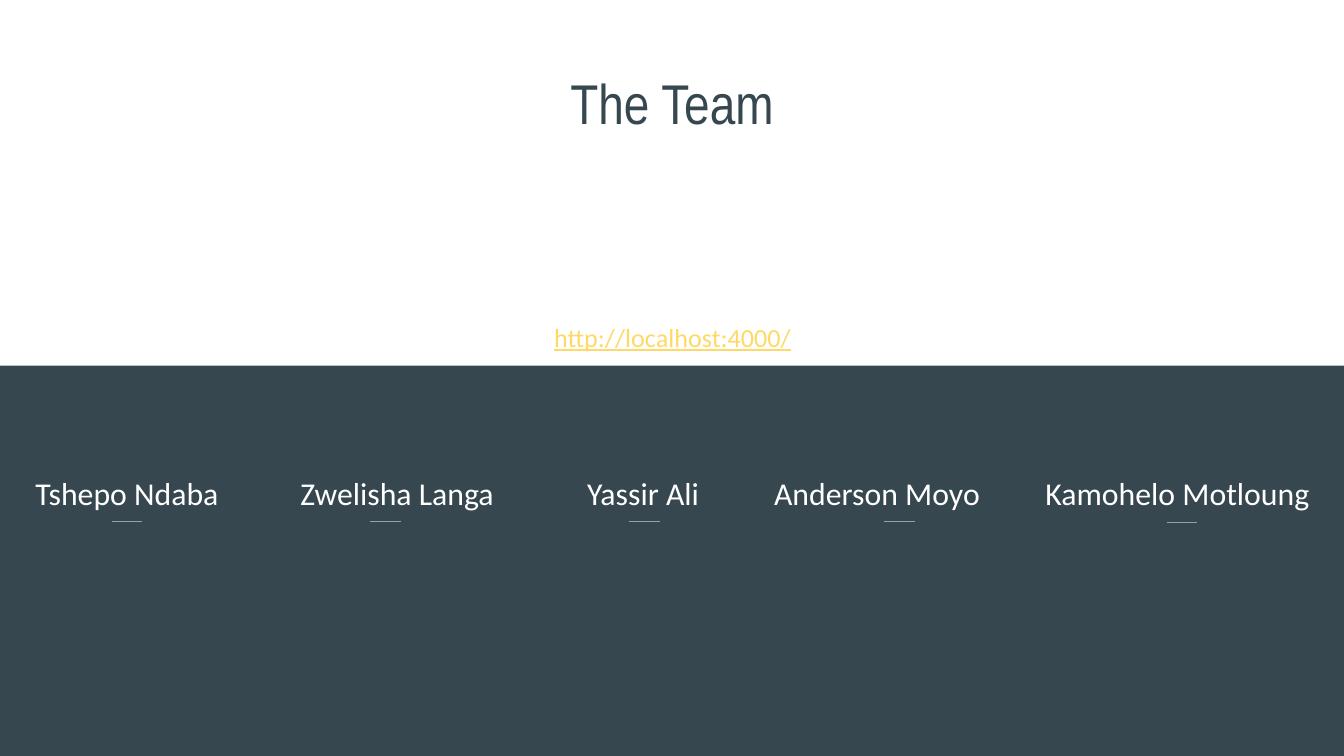
from dataclasses import dataclass

from lxml import etree
from pptx import Presentation
from pptx.dml.color import RGBColor
from pptx.enum.shapes import MSO_CONNECTOR, MSO_SHAPE
from pptx.enum.text import MSO_ANCHOR, PP_ALIGN
from pptx.oxml.ns import qn
from pptx.util import Inches, Pt

SLATE = RGBColor(0x37, 0x47, 0x4F)
WHITE = RGBColor(0xFF, 0xFF, 0xFF)
GREY = RGBColor(0x9E, 0x9E, 0x9E)
YELLOW = RGBColor(0xFF, 0xD9, 0x66)

RECTANGLE = MSO_SHAPE.RECTANGLE
STRAIGHT = MSO_CONNECTOR.STRAIGHT
LEFT, CENTER = PP_ALIGN.LEFT, PP_ALIGN.CENTER
TOP = MSO_ANCHOR.TOP

NAME_TOP = 3.38
NAME_HEIGHT = 0.48
DASH_LENGTH = 0.23


@dataclass(frozen=True)
class Member:
    name: str
    left: float
    dash_left: float
    width: float = 1.89
    dash_top: float = 3.88
    align: PP_ALIGN = CENTER


TEAM = (
    Member("Tshepo Ndaba", 0, 0.83),
    Member("Zwelisha Langa", 2.01, 2.75),
    Member("Yassir Ali", 3.84, 4.68),
    Member("Anderson Moyo", 5.58, 6.58),
    Member("Kamohelo Motloung", 7.68, 8.68, width=2.44, dash_top=3.89, align=LEFT),
)


def write_text(shape, text: str, *, size: float, color: RGBColor,
               font: str = "Calibri", align: PP_ALIGN = CENTER,
               underline: bool = False, line_spacing: float = 1.0,
               space_after: float = 0) -> None:
    frame = shape.text_frame
    frame.word_wrap = True
    frame.vertical_anchor = TOP
    frame.margin_left = frame.margin_right = Inches(0.1)
    frame.margin_top = frame.margin_bottom = Inches(0.1)
    paragraph = frame.paragraphs[0]
    paragraph.alignment = align
    paragraph.line_spacing = line_spacing
    paragraph.space_before = Pt(0)
    paragraph.space_after = Pt(space_after)
    run = paragraph.add_run()
    run.text = text
    run.font.name = font
    run.font.size = Pt(size)
    run.font.color.rgb = color
    run.font.underline = underline


def draw_dash(slide, left: float, top: float) -> None:
    dash = slide.shapes.add_connector(
        STRAIGHT, Inches(left), Inches(top), Inches(left + DASH_LENGTH), Inches(top))
    dash.line.color.rgb = GREY
    dash.line.width = Pt(0.75)
    etree.SubElement(dash._element.spPr, qn("a:effectLst"))


def draw_member(slide, member: Member) -> None:
    label = slide.shapes.add_textbox(
        Inches(member.left), Inches(NAME_TOP), Inches(member.width), Inches(NAME_HEIGHT))
    write_text(label, member.name, size=17, color=WHITE, align=member.align,
               line_spacing=1.15, space_after=16)
    draw_dash(slide, member.dash_left, member.dash_top)


def main() -> None:
    deck = Presentation()
    deck.slide_width = Inches(10)
    deck.slide_height = deck.slide_width * 9 // 16
    slide = deck.slides.add_slide(deck.slide_layouts[5])
    slide.background.fill.solid()
    slide.background.fill.fore_color.rgb = SLATE

    upper_band = slide.shapes.add_shape(RECTANGLE, 0, 0, Inches(10.02), Inches(2.72))
    upper_band.shadow.inherit = False
    upper_band.fill.solid()
    upper_band.fill.fore_color.rgb = WHITE
    upper_band.line.fill.background()

    heading = slide.shapes.title
    heading._element.addprevious(upper_band._element)
    heading.left, heading.top = Inches(0.34), Inches(0.41)
    heading.width, heading.height = Inches(9.32), Inches(0.8)
    write_text(heading, "The Team", size=30, color=SLATE, font="Arial Narrow")

    for member in TEAM:
        draw_member(slide, member)

    address = slide.shapes.add_textbox(
        Inches(2.54), Inches(2.29), Inches(4.93), Inches(0.67))
    write_text(address, "http://localhost:4000/", size=14, color=YELLOW, underline=True)

    deck.save("out.pptx")


if __name__ == "__main__":
    main()
